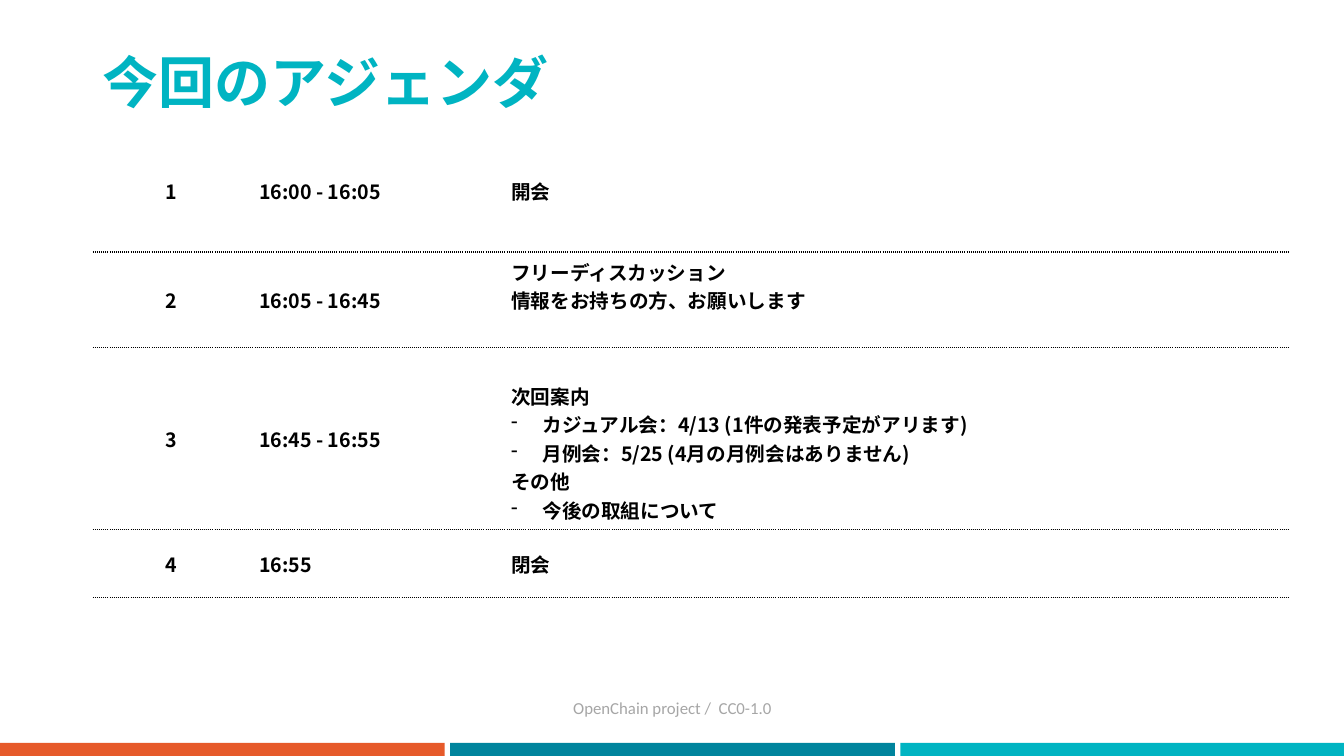
from lxml import etree
from pptx import Presentation
from pptx.dml.color import RGBColor
from pptx.enum.shapes import MSO_SHAPE
from pptx.enum.text import MSO_ANCHOR, PP_ALIGN
from pptx.oxml import parse_xml
from pptx.oxml.ns import qn
from pptx.util import Inches, Pt

CENTER, LEFT = PP_ALIGN.CENTER, PP_ALIGN.LEFT
MIDDLE = MSO_ANCHOR.MIDDLE
RECTANGLE = MSO_SHAPE.RECTANGLE
DRAWING_NS = "http://schemas.openxmlformats.org/drawingml/2006/main"
NO_GRID_STYLE = "{2D5ABB26-0587-4C30-8999-92F81FD0307C}"
JAPANESE_FONT = "Noto Sans CJK JP"
COLORS = {
    "orange": "E65A2A",
    "teal": "00849D",
    "turquoise": "00B4C2",
    "black": "000000",
    "gray": "A6A6A6",
}


def add_text(paragraph, text, size, color, font=JAPANESE_FONT, bold=True):
    run = paragraph.add_run()
    run.text = text
    run.font.size = Pt(size)
    run.font.bold = bold
    run.font.name = font
    run.font.color.rgb = RGBColor.from_string(COLORS[color])
    east_asian = etree.Element(qn("a:ea"), typeface=font)
    run.font._element.find(qn("a:latin")).addnext(east_asian)


def add_bottom_border(cell):
    cell._tc.get_or_add_tcPr().insert(0, parse_xml(
        f'<a:lnB xmlns:a="{DRAWING_NS}" w="{Pt(1)}"><a:solidFill>'
        f'<a:srgbClr val="{COLORS["black"]}"/></a:solidFill>'
        '<a:prstDash val="sysDot"/></a:lnB>'))


presentation = Presentation()
presentation.slide_width = Inches(13.33)
presentation.slide_height = Inches(7.5)
slide = presentation.slides.add_slide(presentation.slide_layouts[5])

# Colour bars along the bottom edge
for index, color in enumerate(("orange", "teal", "turquoise")):
    bar = slide.shapes.add_shape(RECTANGLE, Inches(index * 4.465), Inches(7.37),
                                 Inches(4.41), Inches(0.13))
    bar.shadow.inherit = False
    bar.fill.solid()
    bar.fill.fore_color.rgb = RGBColor.from_string(COLORS[color])
    bar.line.fill.background()

# Title
title = slide.shapes.title
title.left, title.top = Inches(0.92), Inches(0.4)
title.width, title.height = Inches(11.5), Inches(0.89)
title.text_frame.vertical_anchor = MIDDLE
title_paragraph = title.text_frame.paragraphs[0]
title_paragraph.alignment = LEFT
title_paragraph.line_spacing = 0.9
add_text(title_paragraph, "今回のアジェンダ", 40, "turquoise")

# Agenda rows: height, extra top and bottom margin of the topic, time, topic lines
AGENDA = [
    (1.21, 0, 0, "16:00 - 16:05", ["開会"]),
    (0.95, 0, 0.28, "16:05 - 16:45",
     ["フリーディスカッション", "情報をお持ちの方、お願いします"]),
    (1.8, 0.28, 0, "16:45 - 16:55",
     ["次回案内",
      "- カジュアル会：4/13 (1件の発表予定がアリます)",
      "- 月例会：5/25 (4月の月例会はありません)",
      "その他",
      "- 今後の取組について"]),
    (0.68, 0, 0, "16:55", ["閉会"]),
    (0.66, 0, 0, "", []),
]
COLUMN_WIDTHS = (1.55, 2.5, 7.82)

# Agenda table
table = slide.shapes.add_table(
    len(AGENDA), len(COLUMN_WIDTHS), Inches(0.92), Inches(1.29),
    Inches(sum(COLUMN_WIDTHS)), Inches(sum(row[0] for row in AGENDA))).table
table.first_row = False
table.horz_banding = False
table._tbl.tblPr.find(qn("a:tableStyleId")).text = NO_GRID_STYLE
for column, width in zip(table.columns, COLUMN_WIDTHS):
    column.width = Inches(width)

for row_index, (height, extra_top, extra_bottom, time, topics) in enumerate(AGENDA):
    table.rows[row_index].height = Inches(height)
    number = str(row_index + 1) if time else ""
    for column_index, lines in enumerate(([number], [time], topics)):
        cell = table.cell(row_index, column_index)
        cell.vertical_anchor = MIDDLE
        cell.fill.background()
        if time:
            add_bottom_border(cell)
        if column_index == 2:
            cell.margin_top = Inches(0.05 + extra_top)
            cell.margin_bottom = Inches(0.05 + extra_bottom)
        for line_index, line in enumerate(filter(None, lines)):
            frame = cell.text_frame
            paragraph = frame.add_paragraph() if line_index else frame.paragraphs[0]
            paragraph.alignment = LEFT if column_index else CENTER
            if line.startswith("- "):
                properties = paragraph._p.get_or_add_pPr()
                properties.set("marL", str(Inches(0.31)))
                properties.set("indent", str(-Inches(0.31)))
                etree.SubElement(properties, qn("a:buChar"), char="-")
            add_text(paragraph, line.removeprefix("- "), 14, "black")

# Footer
footer = slide.shapes.add_textbox(Inches(4.42), Inches(6.82), Inches(4.5), Inches(0.4))
footer.text_frame.word_wrap = True
footer.text_frame.vertical_anchor = MIDDLE
footer_paragraph = footer.text_frame.paragraphs[0]
footer_paragraph.alignment = CENTER
add_text(footer_paragraph, "OpenChain project /  CC0-1.0", 12, "gray", "Calibri", False)

presentation.save("out.pptx")
